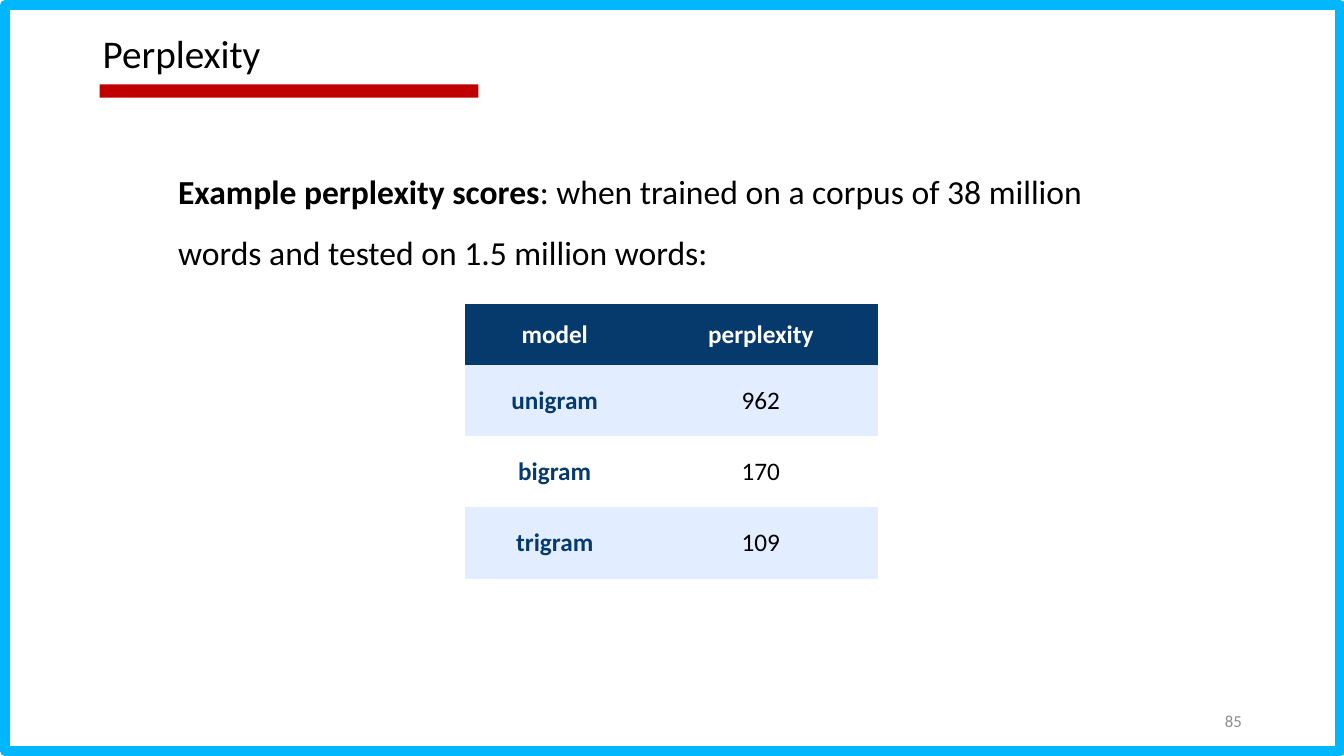
from pptx import Presentation
from pptx.dml.color import RGBColor
from pptx.enum import shapes, text
from pptx.util import Cm, Pt

WHITE = RGBColor(0xFF, 0xFF, 0xFF)
BLACK = RGBColor(0, 0, 0)
SKY = RGBColor(0x00, 0xB6, 0xFC)
RED = RGBColor(0xC0, 0, 0)
NAVY = RGBColor(0x07, 0x3A, 0x6C)
PALE = RGBColor(0xE2, 0xEE, 0xFF)
GRAY = RGBColor(0x8C, 0x8C, 0x8C)
PLAIN = "{2D5ABB26-0587-4C30-8999-92F81FD0307C}"  # no style, no grid


def write(frame, words, size=18, color=BLACK, bold=False, align=None,
          space=None, anchor=text.MSO_ANCHOR.TOP):
    """Add a run to the first paragraph of a text frame."""
    frame.word_wrap = True
    frame.vertical_anchor = anchor
    para = frame.paragraphs[0]
    para.alignment = align
    para.line_spacing = space
    run = para.add_run()
    run.text = words
    font = run.font
    font.name, font.size, font.bold = "Calibri", Pt(size), bold
    font.color.rgb = color


deck = Presentation()
deck.slide_width, deck.slide_height = Cm(33.87), Cm(19.05)
slide = deck.slides.add_slide(deck.slide_layouts[6])
items = slide.shapes
RECT = shapes.MSO_SHAPE.RECTANGLE

# Page frame
page = items.add_shape(RECT, Cm(0.13), Cm(0.13), Cm(33.65), Cm(18.8))
page.shadow.inherit = False
page.fill.solid()
page.fill.fore_color.rgb = WHITE
page.line.color.rgb = SKY
page.line.width = Pt(7)

# Title and its red bar
title = items.add_textbox(Cm(2.34), Cm(0.76), Cm(9.55), Cm(1.52))
write(title.text_frame, "Perplexity", size=28, space=0.9)
bar = items.add_shape(RECT, Cm(2.51), Cm(2.13), Cm(9.55), Cm(0.33))
bar.shadow.inherit = False
bar.fill.solid()
bar.fill.fore_color.rgb = RED
bar.line.fill.background()

# Body
body = items.add_textbox(Cm(4.24), Cm(3.68), Cm(25.37), Cm(12.07)).text_frame
write(body, "Example perplexity scores", size=24, bold=True, space=1.5)
write(body, ": when trained on a corpus of 38 million words "
      "and tested on 1.5 million words:", size=24, space=1.5)

# Score table
rows = [("model", "perplexity"), ("unigram", "962"),
        ("bigram", "170"), ("trigram", "109")]
holder = items.add_table(len(rows), 2, Cm(11.73), Cm(7.67), Cm(10.39), Cm(6.91))
table = holder.table
holder.element.xpath(".//a:tableStyleId")[0].text = PLAIN
table.horz_banding = False
for col, wide in zip(table.columns, (4.5, 5.89)):
    col.width = Cm(wide)
for r, row in enumerate(rows):
    table.rows[r].height = Cm(1.8 if r and r > 1 else 1.78 if r else 1.53)
    for c, words in enumerate(row):
        cell = table.cell(r, c)
        cell.margin_left = cell.margin_right = Cm(0.1)
        cell.margin_top = cell.margin_bottom = Cm(0.1)
        cell.vertical_anchor = text.MSO_ANCHOR.MIDDLE
        cell.fill.solid()
        cell.fill.fore_color.rgb = NAVY if r == 0 else PALE if r % 2 else WHITE
        write(cell.text_frame, words, bold=r == 0 or c == 0,
              color=WHITE if r == 0 else BLACK if c else NAVY,
              align=text.PP_ALIGN.CENTER, anchor=text.MSO_ANCHOR.MIDDLE)

# Page number
number = items.add_textbox(Cm(23.93), Cm(17.65), Cm(7.62), Cm(1.02))
write(number.text_frame, "85", size=12, color=GRAY,
      align=text.PP_ALIGN.RIGHT, anchor=text.MSO_ANCHOR.MIDDLE)

deck.save("out.pptx")
